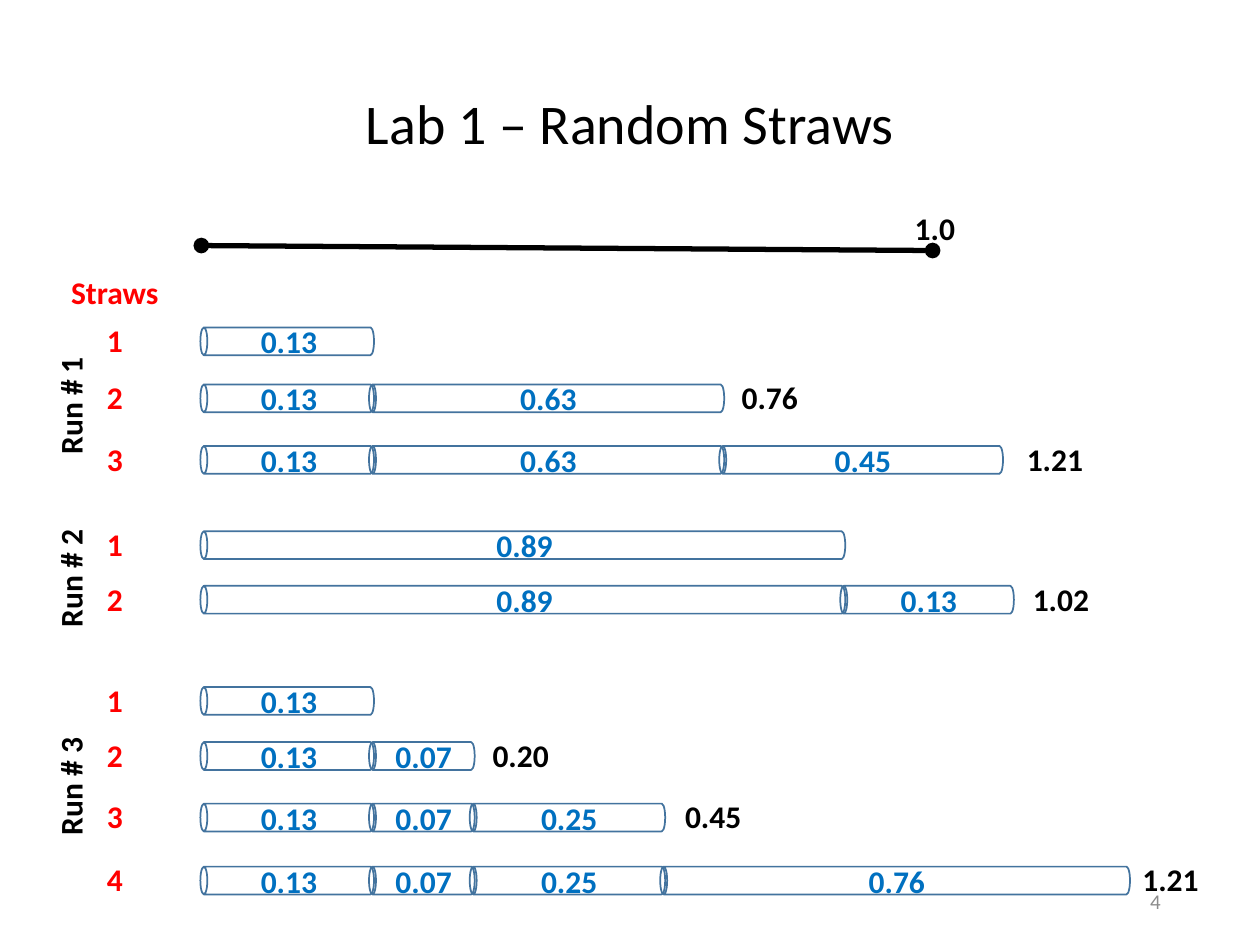
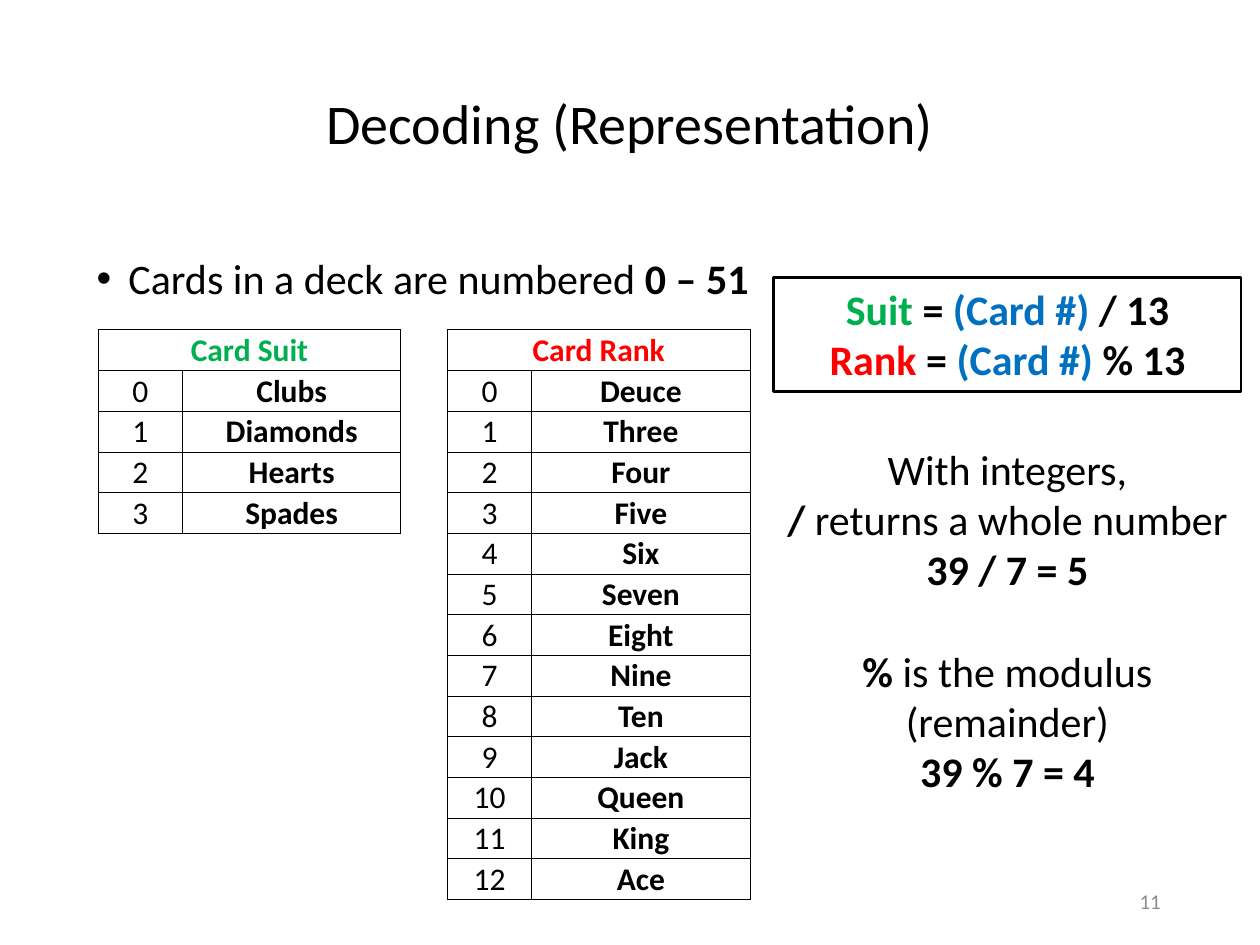
from typing import NamedTuple

from lxml.etree import SubElement
from pptx import Presentation
from pptx.dml.color import RGBColor
from pptx.enum.shapes import MSO_CONNECTOR, MSO_SHAPE
from pptx.enum.text import MSO_ANCHOR, PP_ALIGN
from pptx.oxml.ns import qn
from pptx.util import Cm, Pt

# Shared style
FONT = "Calibri"
BLACK, RED, BLUE, GREEN = "000000", "FF0000", "0070C0", "00B050"
GREY, STRAW_LINE = "8C8C8C", "43739E"
LEFT, CENTER, RIGHT = PP_ALIGN.LEFT, PP_ALIGN.CENTER, PP_ALIGN.RIGHT
TOP, MIDDLE = MSO_ANCHOR.TOP, MSO_ANCHOR.MIDDLE
PLAIN_TABLE = "{2D5ABB26-0587-4C30-8999-92F81FD0307C}"

# Straw geometry in centimetres
STRAW_LENGTH = {"0.07": 2.13, "0.13": 3.5, "0.25": 3.94, "0.45": 5.72,
                "0.63": 7.16, "0.76": 9.47, "0.89": 13}
STRAW_START, STRAW_THICKNESS, STRAW_OVERLAP = 4.04, 0.56, 0.1
LABEL_HEIGHT, LABEL_RISE = 1.02, 0.25


class Span(NamedTuple):
    text: str
    color: str = BLACK
    bold: bool = False


class Area(NamedTuple):
    left: float
    top: float
    width: float
    height: float

    def lengths(self) -> tuple:
        return tuple(Cm(value) for value in self)


class StrawRow(NamedTuple):
    top: float
    straws: tuple
    total: str = ""
    total_left: float = 0


class Run(NamedTuple):
    name: str
    label_top: float
    rows: tuple


class CardTable(NamedTuple):
    title: str
    color: str
    first_column: int
    names: tuple


RUNS = (
    Run("Run # 1", 7.67, (
        StrawRow(6.6, ("0.13",)),
        StrawRow(7.75, ("0.13", "0.63"), "0.76", 14.7),
        StrawRow(8.99, ("0.13", "0.63", "0.45"), "1.21", 20.45))),
    Run("Run # 2", 11.15, (
        StrawRow(10.71, ("0.89",)),
        StrawRow(11.81, ("0.89", "0.13"), "1.02", 20.57))),
    Run("Run # 3", 15.34, (
        StrawRow(13.85, ("0.13",)),
        StrawRow(14.96, ("0.13", "0.07"), "0.20", 9.68),
        StrawRow(16.2, ("0.13", "0.07", "0.25"), "0.45", 13.56),
        StrawRow(17.47, ("0.13", "0.07", "0.25", "0.76"), "1.21", 22.78))),
)

CARD_TABLES = (
    CardTable("Card Suit", GREEN, 0,
              ("Clubs", "Diamonds", "Hearts", "Spades")),
    CardTable("Card Rank", RED, 3,
              ("Deuce", "Three", "Four", "Five", "Six", "Seven", "Eight",
               "Nine", "Ten", "Jack", "Queen", "King", "Ace")),
)


def rgb(color: str) -> RGBColor:
    return RGBColor.from_string(color)


def write(frame, lines, size=18, align=CENTER, anchor=TOP):
    """Fill a text frame with one paragraph per line of spans."""
    frame.word_wrap = True
    frame.vertical_anchor = anchor
    for index, spans in enumerate(lines):
        para = frame.add_paragraph() if index else frame.paragraphs[0]
        para.alignment = align
        for span in spans:
            run = para.add_run()
            run.text = span.text
            run.font.name = FONT
            run.font.size = Pt(size)
            run.font.bold = span.bold
            run.font.color.rgb = rgb(span.color)


def add_text(page, area: Area, lines, **style):
    box = page.shapes.add_textbox(*area.lengths())
    write(box.text_frame, lines, **style)
    return box


def add_outline(page, kind, area: Area, color: str, width: float):
    shape = page.shapes.add_shape(kind, *area.lengths())
    shape.shadow.inherit = False
    shape.fill.background()
    shape.line.color.rgb = rgb(color)
    shape.line.width = Pt(width)
    return shape


def add_page(deck, title: str, number: str):
    """Add a blank page with the shared title and page number."""
    page = deck.slides.add_slide(deck.slide_layouts[6])
    heading = add_text(page, Area(1.75, 1.02, 21.9, 3.07), [[Span(title)]],
                       size=32, anchor=MIDDLE)
    heading.text_frame.paragraphs[0].line_spacing = 0.9
    add_text(page, Area(17.93, 17.65, 5.72, 1.02), [[Span(number, GREY)]],
             size=12, align=RIGHT, anchor=MIDDLE)
    return page


def add_label(page, left, top, width, text, color=BLACK, align=CENTER):
    return add_text(page, Area(left, top, width, LABEL_HEIGHT),
                    [[Span(text, color, True)]], align=align)


def add_straw(page, left: float, top: float, value: str):
    """Add a can laid on its side, with its text kept upright."""
    length = STRAW_LENGTH[value]
    shift = (length - STRAW_THICKNESS) / 2
    area = Area(left + shift, top - shift, STRAW_THICKNESS, length)
    straw = add_outline(page, MSO_SHAPE.CAN, area, STRAW_LINE, 1)
    straw.rotation = 270
    write(straw.text_frame, [[Span(value, BLUE, True)]], anchor=MIDDLE)
    straw.text_frame._txBody.bodyPr.set("vert", "vert")


def add_unit_line(page):
    line = page.shapes.add_connector(MSO_CONNECTOR.STRAIGHT, Cm(4.06),
                                     Cm(4.95), Cm(18.8), Cm(5.05))
    line.line.color.rgb = rgb(BLACK)
    line.line.width = Pt(3)
    properties = line._element.spPr
    for end in ("a:headEnd", "a:tailEnd"):
        SubElement(properties.find(qn("a:ln")), qn(end), type="oval")
    SubElement(properties, qn("a:effectLst"))


def add_run(page, run: Run):
    for number, row in enumerate(run.rows, 1):
        label_top = row.top - LABEL_RISE
        add_label(page, 1.17, label_top, 2.29, str(number), RED)
        left = STRAW_START
        for value in row.straws:
            add_straw(page, left, row.top, value)
            left += STRAW_LENGTH[value] - STRAW_OVERLAP
        if row.total:
            add_label(page, row.total_left, label_top, 1.75, row.total,
                      align=LEFT)
    add_label(page, 0.03, run.label_top, 2.77, run.name).rotation = 270


def straws_page(deck):
    page = add_page(deck, "Lab 1 – Random Straws", "4")
    add_unit_line(page)
    add_label(page, 18.19, 4.09, 1.5, "1.0", align=LEFT)
    add_label(page, 1.17, 5.38, 2.29, "Straws", RED)
    for run in RUNS:
        add_run(page, run)


def add_borders(cell):
    properties = cell._tc.get_or_add_tcPr()
    for index, side in enumerate(("a:lnL", "a:lnR", "a:lnT", "a:lnB")):
        line = properties.makeelement(qn(side), {"w": str(Pt(0.5))})
        fill = SubElement(line, qn("a:solidFill"))
        SubElement(fill, qn("a:srgbClr"), val=BLACK)
        properties.insert(index, line)


def fill_cell(cell, span: Span):
    write(cell.text_frame, [[span]], anchor=MSO_ANCHOR.BOTTOM)
    add_borders(cell)


def add_card_tables(page):
    widths = (1.7, 4.4, 0.94, 1.7, 4.4)
    row_height = 0.82
    row_count = 1 + max(len(card.names) for card in CARD_TABLES)
    area = Area(1.98, 6.65, sum(widths), row_height * row_count)
    table = page.shapes.add_table(row_count, len(widths),
                                  *area.lengths()).table
    table.first_row = table.horz_banding = False
    table._tbl.tblPr.find(qn("a:tableStyleId")).text = PLAIN_TABLE
    for column, width in zip(table.columns, widths):
        column.width = Cm(width)
    for row in table.rows:
        row.height = Cm(row_height)
    for cell in table.iter_cells():
        cell.fill.background()
        cell.margin_left = cell.margin_right = cell.margin_top = Cm(0.03)
        cell.margin_bottom = 0
    for card in CARD_TABLES:
        first = card.first_column
        header, header_end = table.cell(0, first), table.cell(0, first + 1)
        header.merge(header_end)
        fill_cell(header, Span(card.title, card.color, True))
        add_borders(header_end)
        for number, name in enumerate(card.names):
            fill_cell(table.cell(number + 1, first), Span(str(number)))
            fill_cell(table.cell(number + 1, first + 1),
                      Span(name, bold=True))


def add_bullet(page):
    box = add_text(page, Area(1.7, 5.08, 14.17, 12.09),
                   [[Span("Cards in a deck are numbered "),
                     Span("0 – 51", bold=True)]], size=24, align=LEFT)
    para = box.text_frame.paragraphs[0]
    para.line_spacing = 0.9
    para.space_after = Pt(12)
    properties = para._p.get_or_add_pPr()
    properties.set("marL", str(Cm(0.64)))
    properties.set("indent", str(Cm(-0.64)))
    SubElement(properties, qn("a:buFont"), typeface="Arial")
    SubElement(properties, qn("a:buChar"), char="•")


def decoding_page(deck):
    page = add_page(deck, "Decoding (Representation)", "11")
    add_bullet(page)
    add_card_tables(page)

    # Formulas
    formulas = add_outline(page, MSO_SHAPE.RECTANGLE,
                           Area(15.6, 5.59, 9.42, 2.31), BLACK, 1.5)
    write(formulas.text_frame, [
        [Span("Suit", GREEN, True), Span(" = ", BLACK, True),
         Span("(Card #) ", BLUE, True), Span("/ 13", BLACK, True)],
        [Span("Rank ", RED, True), Span("= ", BLACK, True),
         Span("(Card #)", BLUE, True), Span(" % 13", BLACK, True)],
    ], size=24)

    # Integer arithmetic
    notes = add_text(page, Area(15.6, 8.81, 9.42, 7.44), [
        [Span("With integers,")],
        [Span("/", bold=True), Span(" returns a whole number")],
        [Span("39 / 7 = 5", bold=True)],
        [Span("%", bold=True), Span(" is the modulus (remainder)")],
        [Span("39 % 7 = 4", bold=True)],
    ], size=24)
    notes.text_frame.paragraphs[3].space_before = Pt(29)


def main():
    deck = Presentation()
    deck.slide_width, deck.slide_height = Cm(25.4), Cm(19.05)
    straws_page(deck)
    decoding_page(deck)
    deck.save("out.pptx")


if __name__ == "__main__":
    main()
